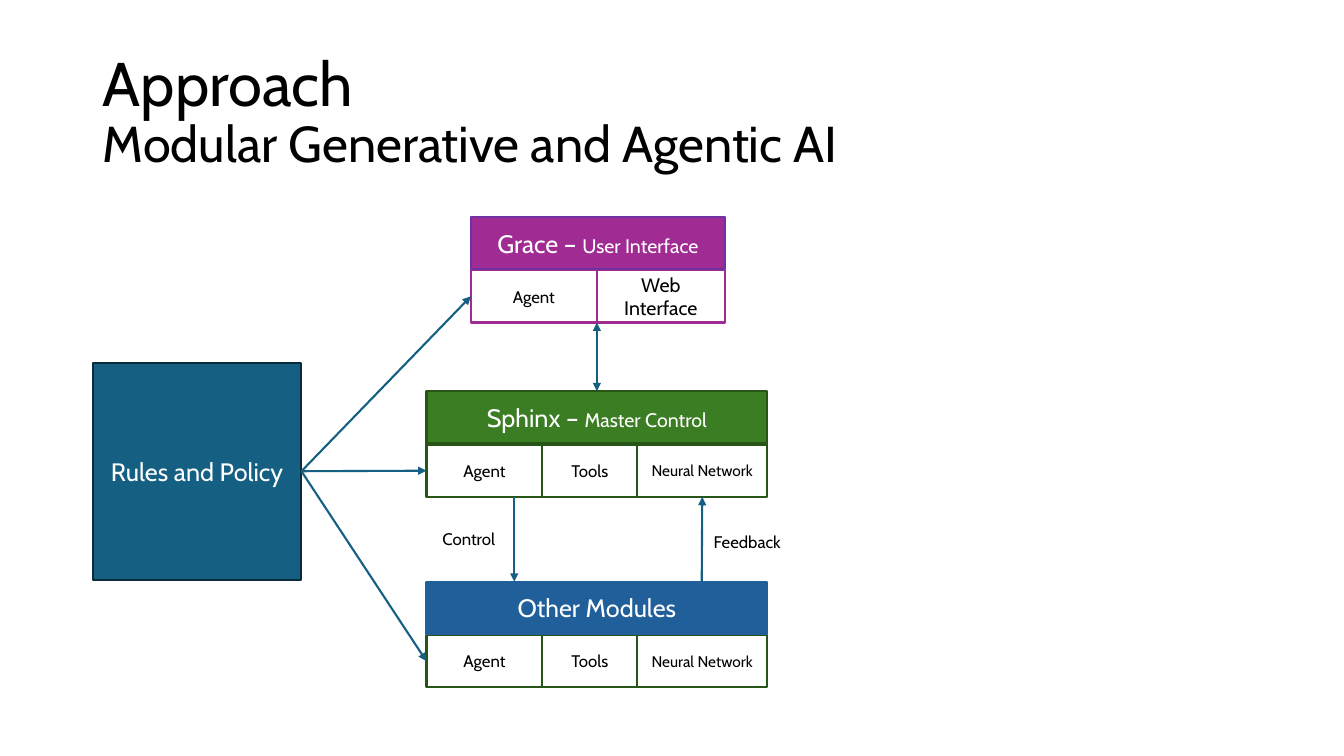
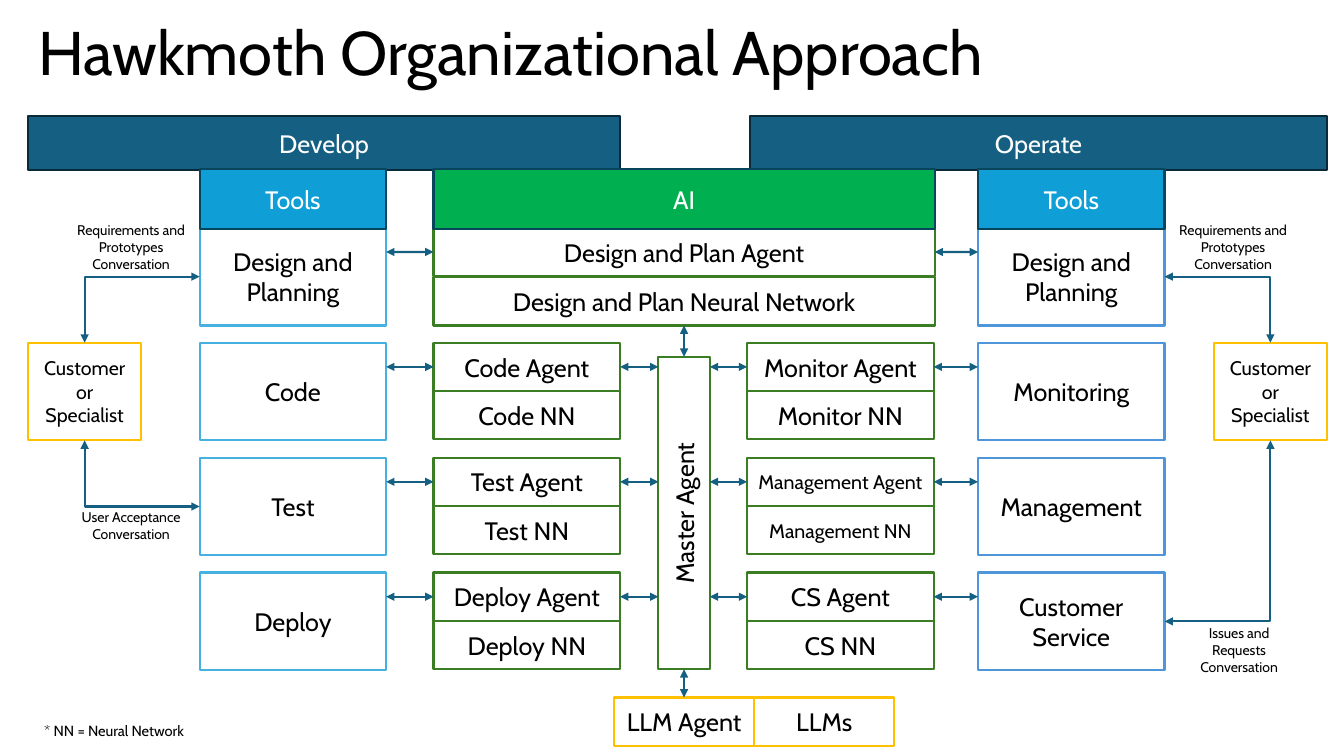
"""Build two slides on a modular, agent-based AI approach."""
from lxml.etree import SubElement
from pptx import Presentation
from pptx.dml.color import RGBColor
from pptx.enum.shapes import MSO_CONNECTOR, MSO_SHAPE
from pptx.enum.text import MSO_ANCHOR, MSO_AUTO_SIZE, PP_ALIGN
from pptx.oxml.ns import qn
from pptx.util import Inches, Pt

FONT = "Cabin"
BLACK, WHITE = "000000", "FFFFFF"
TEAL, NAVY = "156082", "092A39"
GREEN, FOREST = "3B7D23", "275417"
GOLD = "FFC000"
TOP, LEFT, BOTTOM, RIGHT = range(4)
color = RGBColor.from_string


def box(slide, place, text, size=18, edge=None, fill=None, ink=BLACK, align=PP_ALIGN.CENTER):
    """Add a framed box, or a plain label when no edge colour is given."""
    place = [Inches(n) for n in place]
    if edge:
        shape = slide.shapes.add_shape(MSO_SHAPE.RECTANGLE, *place)
        shape.shadow.inherit = False
        shape.line.color.rgb = color(edge)
        shape.line.width = Pt(1.5)
        if fill:
            shape.fill.solid()
            shape.fill.fore_color.rgb = color(fill)
        else:
            shape.fill.background()
    else:
        shape = slide.shapes.add_textbox(*place)
    frame = shape.text_frame
    frame.word_wrap = True
    frame.vertical_anchor = MSO_ANCHOR.MIDDLE if edge else MSO_ANCHOR.TOP
    frame.text = text
    for para in frame.paragraphs:
        para.alignment = align
        para.font.name = FONT
        para.font.size = Pt(size)
        para.font.color.rgb = color(ink)
    return shape


def link(slide, start, end, both=True, bent=False):
    """Draw an arrow between ends given as (x, y) or (shape, side)."""
    line = slide.shapes.add_connector(MSO_CONNECTOR.STRAIGHT, 0, 0, 0, 0)
    if isinstance(start[0], float):
        line.begin_x, line.begin_y = Inches(start[0]), Inches(start[1])
    else:
        line.begin_connect(*start)
    if isinstance(end[0], float):
        line.end_x, line.end_y = Inches(end[0]), Inches(end[1])
    else:
        line.end_connect(*end)
    line.line.color.rgb = color(TEAL)
    line.line.width = Pt(1.5)
    props = line.element.spPr
    if bent:
        props.find(qn("a:prstGeom")).set("prst", "bentConnector2")
    stroke = props.find(qn("a:ln"))
    for tip in ["a:headEnd", "a:tailEnd"] if both else ["a:tailEnd"]:
        SubElement(stroke, qn(tip), type="triangle")
    SubElement(props, qn("a:effectLst"))


deck = Presentation()
deck.slide_width, deck.slide_height = Inches(13.33), Inches(7.5)

slides = []
for text, place in [
    ("Approach\vModular Generative and Agentic AI", (0.92, 0.4, 11.5, 1.45)),
    ("Hawkmoth Organizational Approach", (0.28, 0.11, 11.5, 0.88)),
]:
    slide = deck.slides.add_slide(deck.slide_layouts[5])
    title = slide.shapes.title
    title.left, title.top, title.width, title.height = [Inches(n) for n in place]
    frame = title.text_frame
    frame.text = text
    frame.auto_size = MSO_AUTO_SIZE.NONE
    frame.vertical_anchor = MSO_ANCHOR.MIDDLE
    para = frame.paragraphs[0]
    para.alignment = PP_ALIGN.LEFT
    para.line_spacing = 0.9
    para.font.name = FONT
    para.font.size = Pt(44)
    para.font.color.rgb = color(BLACK)
    for run in para.runs[1:]:
        run.font.size = Pt(36)
    slides.append(slide)
first, second = slides

rules = box(first, (0.92, 3.6, 2.07, 2.15), "Rules and Policy", 18, NAVY, TEAL, WHITE)
trio = [("Agent", 12, 1.15), ("Tools", 12, 0.94), ("Neural Network", 11, 1.29)]
pair = [("Agent", 12, 1.25), ("Web Interface", 14, 1.27)]
heads, ends = [], []
for x, y, name, role, fill, rim, edge, parts in [
    (4.67, 2.15, "Grace – ", "User Interface", "A02B93", "7030A0", "A02B93", pair),
    (4.23, 3.88, "Sphinx – ", "Master Control", GREEN, FOREST, FOREST, trio),
    (4.23, 5.77, "Other Modules", "", "215F9A", "215F9A", FOREST, trio),
]:
    left, cells = x, []
    for text, size, width in parts:
        cells.append(box(first, (left, y + 0.53, width, 0.52), text, size, edge, WHITE))
        left += width
    head = box(first, (x, y, left - x, 0.52), name, 18, rim, fill, WHITE)
    if role:
        run = head.text_frame.paragraphs[0].add_run()
        run.text = role
        run.font.size = Pt(14)
    link(first, (rules, RIGHT), (cells[0], LEFT), both=False)
    heads.append(head)
    ends.append(cells[-1])

link(first, (heads[1], TOP), (5.92, 3.2))
link(first, (5.1, 4.93), (5.1, 5.77), both=False)
link(first, (6.96, 5.77), (ends[1], BOTTOM), both=False)
box(first, (4.29, 5.2, 0.75, 0.3), "Control", 12, align=PP_ALIGN.LEFT)
box(first, (6.98, 5.23, 0.92, 0.3), "Feedback", 12, align=PP_ALIGN.LEFT)

for x, width, text in [(0.28, 5.87, "Develop"), (7.44, 5.72, "Operate")]:
    box(second, (x, 1.15, width, 0.54), text, 18, NAVY, TEAL, WHITE)

tops = [2.26 + 1.14 * n for n in range(4)]
plan = box(second, (4.3, tops[0], 4.97, 0.48), "Design and Plan Agent", 18, GREEN)
brain = box(second, (4.3, tops[0] + 0.49, 4.97, 0.48), "Design and Plan Neural Network", 18, GREEN)
master = box(second, (6.53, 3.54, 0.51, 3.1), "Master Agent", 18, GREEN)
master.text_frame.word_wrap = False
master.element.txBody.find(qn("a:bodyPr")).set("vert", "vert270")
llm = box(second, (6.09, 6.92, 1.39, 0.48), "LLM Agent", 18, GOLD)
box(second, (7.48, 6.92, 1.39, 0.48), "LLMs", 18, GOLD)
link(second, (master, TOP), (brain, BOTTOM))
link(second, (llm, TOP), (master, BOTTOM))

for x, rim, hub, mid, user, tint, outer, inner, last, rows in [
    (1.98, 3.83, 6.53, 4.3, 0.28, "46B1E1", LEFT, RIGHT, 2,
     [("Design and Planning", "", 18), ("Code", "Code", 18),
      ("Test", "Test", 18), ("Deploy", "Deploy", 18)]),
    (9.7, 9.7, 7.04, 7.41, 12.04, "4E95D9", RIGHT, LEFT, 3,
     [("Design and Planning", "", 18), ("Monitoring", "Monitor", 18),
      ("Management", "Management", 14), ("Customer Service", "CS", 18)]),
]:
    tools = []
    for y, (text, name, size) in zip(tops, rows):
        tools.append(box(second, (x, y, 1.85, 0.97), text, 18, tint))
        agent = plan
        if name:
            agent = box(second, (mid, y, 1.85, 0.48), f"{name} Agent", size, GREEN)
            box(second, (mid, y + 0.48, 1.85, 0.48), f"{name} NN", size, GREEN)
            link(second, (agent, inner), (hub, y + 0.24))
        link(second, (rim, y + 0.24), (agent, outer))
    client = box(second, (user, 3.4, 1.12, 0.97), "Customer or Specialist", 14, GOLD)
    link(second, (tools[0], outer), (client, TOP), bent=True)
    link(second, (tools[last], outer), (client, BOTTOM), bent=True)
    box(second, (x, 1.68, 1.85, 0.59), "Tools", 18, "07455D", "0F9ED5", WHITE)
box(second, (4.3, 1.68, 4.97, 0.59), "AI", 18, "07455D", "00B050", WHITE)

for x, y, text in [
    (0.62, 2.15, "Requirements and Prototypes Conversation"),
    (0.62, 5, "User Acceptance Conversation"),
    (11.55, 2.15, "Requirements and Prototypes\nConversation"),
    (11.61, 6.15, "Issues and Requests\nConversation"),
]:
    box(second, (x, y, 1.36, 0.61), text, 10)
box(second, (0.34, 7.11, 1.64, 0.28), "* NN = Neural Network", 10.5, align=PP_ALIGN.LEFT)

deck.save("out.pptx")
